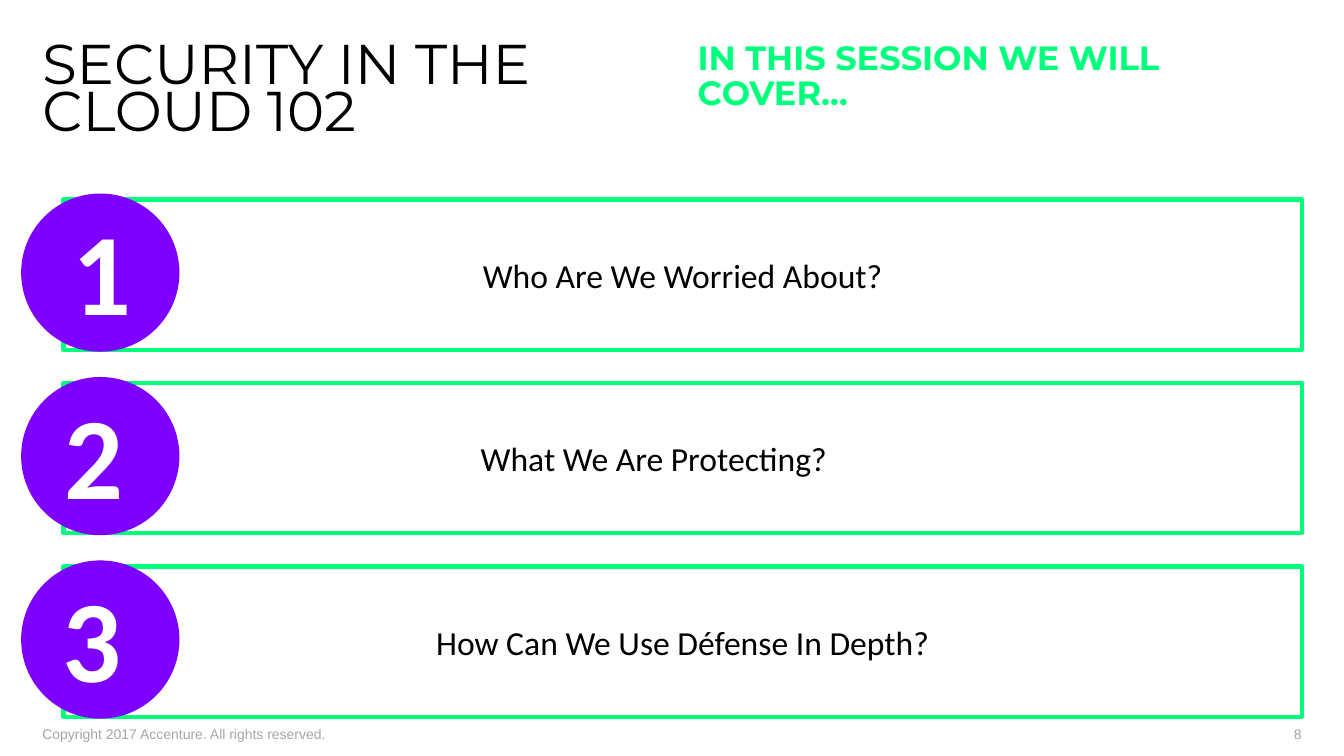
from dataclasses import dataclass

from pptx import Presentation
from pptx.dml.color import RGBColor
from pptx.enum.shapes import MSO_SHAPE
from pptx.enum.text import MSO_ANCHOR, PP_ALIGN
from pptx.util import Inches, Pt


@dataclass(frozen=True)
class Theme:
    green: str = "00FF7D"
    purple: str = "7E00FF"
    black: str = "000000"
    white: str = "FFFFFF"
    grey: str = "A6A6A6"
    heading_font: str = "Montserrat"
    body_font: str = "Calibri"
    footer_font: str = "Arial"
    title_size: int = 40
    body_size: int = 24
    number_size: int = 83
    footer_size: int = 10
    outline: int = 3


THEME = Theme()

# Agenda: topic, left edge of its number, right inset of its text
AGENDA = [
    ("Who Are We Worried About?", 0.72, 0.1),
    ("What We Are Protecting?", 0.64, 0.67),
    ("How Can We Use Défense In Depth?", 0.62, 0.1),
]
ROW_TOP, ROW_STEP = 1.98, 1.82
BADGE_RISE = 0.06


def write(shape, text, *, size, color, font=THEME.body_font, bold=False,
          align=PP_ALIGN.LEFT, anchor=MSO_ANCHOR.TOP, insets=(0, 0, 0, 0),
          line_spacing=None):
    """Fill a shape with one formatted paragraph; insets are left, top, right, bottom."""
    frame = shape.text_frame
    frame.word_wrap = True
    frame.vertical_anchor = anchor
    (frame.margin_left, frame.margin_top,
     frame.margin_right, frame.margin_bottom) = map(Inches, insets)
    paragraph = frame.paragraphs[0]
    paragraph.alignment = align
    if line_spacing:
        paragraph.line_spacing = line_spacing
    run = paragraph.add_run()
    run.text = text
    run.font.name = font
    run.font.size = Pt(size)
    run.font.bold = bold
    run.font.color.rgb = RGBColor.from_string(color)


def add_text(shapes, box, text, **text_format):
    write(shapes.add_textbox(*map(Inches, box)), text, **text_format)


def add_topic(shapes, top, topic, right_inset):
    """Green outlined bar with a centred topic."""
    bar = shapes.add_shape(MSO_SHAPE.RECTANGLE,
                           *map(Inches, (0.63, top, 12.28, 1.49)))
    bar.shadow.inherit = False
    bar.fill.background()
    bar.line.color.rgb = RGBColor.from_string(THEME.green)
    bar.line.width = Pt(THEME.outline)
    write(bar, topic, size=THEME.body_size, color=THEME.black,
          align=PP_ALIGN.CENTER, anchor=MSO_ANCHOR.MIDDLE,
          insets=(0.1, 0.05, right_inset, 0.05))


def add_badge(shapes, top, number, number_left):
    """Purple circle grouped with its large number."""
    badge = shapes.add_group_shape()
    circle = badge.shapes.add_shape(
        MSO_SHAPE.OVAL, *map(Inches, (0.21, top - BADGE_RISE, 1.57, 1.57)))
    circle.shadow.inherit = False
    circle.fill.solid()
    circle.fill.fore_color.rgb = RGBColor.from_string(THEME.purple)
    circle.line.fill.background()
    add_text(badge.shapes, (number_left, top, 0.5, 1.45), str(number),
             size=THEME.number_size, color=THEME.white, bold=True,
             insets=(0, 0, 0, 0.05))


def add_footer(shapes, left, width, text, align):
    add_text(shapes, (left, 7.13, width, 0.23), text,
             size=THEME.footer_size, color=THEME.grey, font=THEME.footer_font,
             align=align, anchor=MSO_ANCHOR.BOTTOM)


def main():
    deck = Presentation()
    deck.slide_width, deck.slide_height = Inches(13.33), Inches(7.5)
    shapes = deck.slides.add_slide(deck.slide_layouts[6]).shapes

    # Headings
    add_text(shapes, (6.92, 0.33, 5.67, 1.19), "IN THIS SESSION WE WILL COVER…",
             size=THEME.body_size, color=THEME.green, font=THEME.heading_font,
             bold=True, insets=(0, 0.1, 0, 0.05), line_spacing=0.85)
    add_text(shapes, (0.42, 0.42, 7.01, 1.08), "SECURITY IN THE CLOUD 102",
             size=THEME.title_size, color=THEME.black, font=THEME.heading_font,
             insets=(0, 0.05, 0, 0), line_spacing=0.7)

    # Agenda rows
    for index, (topic, number_left, right_inset) in enumerate(AGENDA):
        top = ROW_TOP + index * ROW_STEP
        add_topic(shapes, top, topic, right_inset)
        add_badge(shapes, top, index + 1, number_left)

    # Footer
    add_footer(shapes, 0.42, 6.25,
               "Copyright 2017 Accenture. All rights reserved.", PP_ALIGN.LEFT)
    add_footer(shapes, 12.58, 0.33, "8", PP_ALIGN.RIGHT)

    deck.save("out.pptx")


if __name__ == "__main__":
    main()
